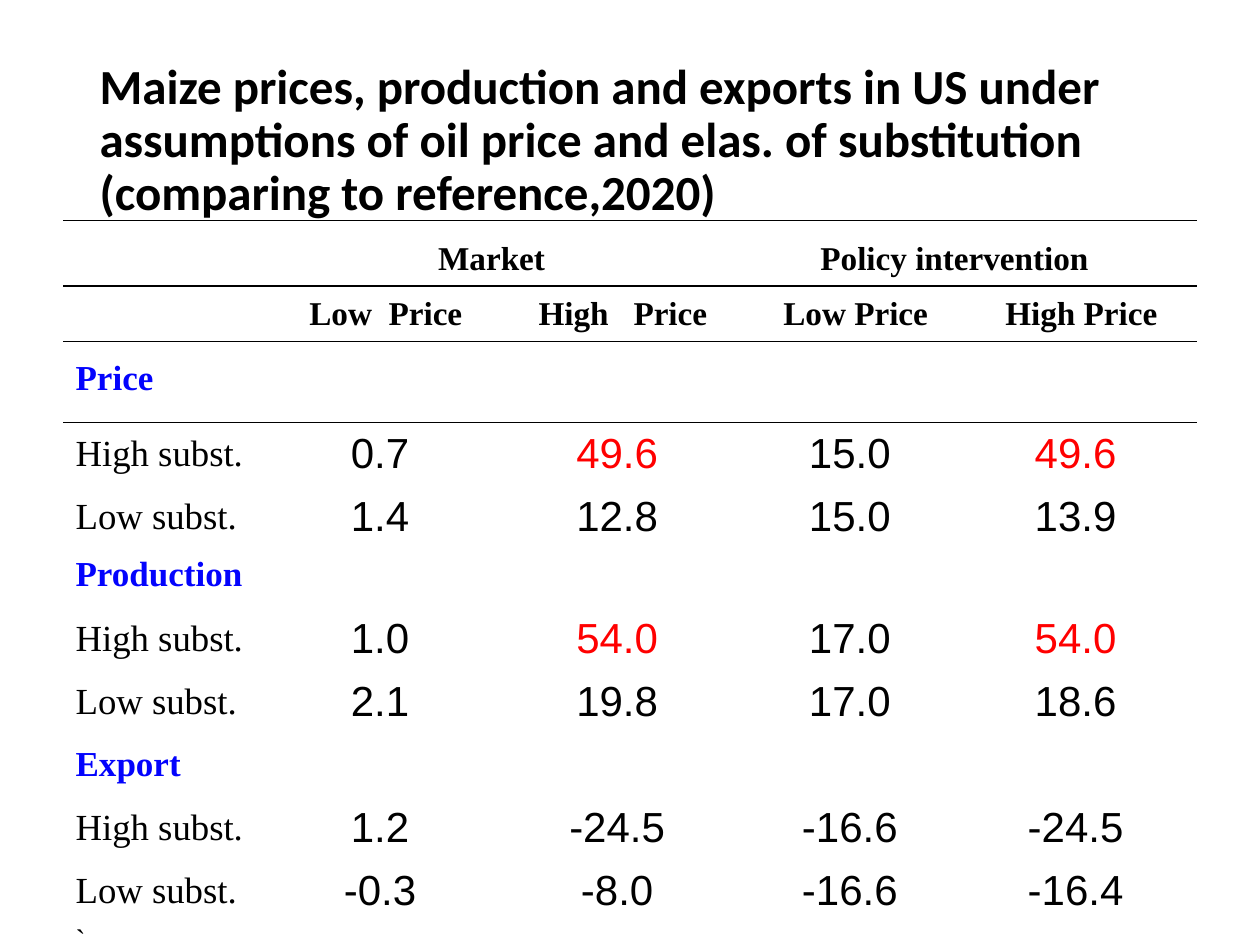
from pptx import Presentation
from pptx.dml.color import RGBColor
from pptx.enum.text import MSO_ANCHOR, PP_ALIGN
from pptx.oxml import parse_xml
from pptx.oxml.ns import nsdecls
from pptx.util import Inches, Pt

LEFT, CENTER = PP_ALIGN.LEFT, PP_ALIGN.CENTER
MIDDLE = MSO_ANCHOR.MIDDLE
COLORS = {"text": "000000", "group": "0303FD", "peak": "FF0000"}
SERIF, SANS, HEADING = "Times New Roman", "Arial", "Calibri"
NO_STYLE = "{2D5ABB26-0587-4C30-8999-92F81FD0307C}"

TITLE = ("Maize prices, production and exports in US under assumptions of oil price "
         "and elas. of substitution (comparing to reference,2020)")
MARKETS = ["Market　", "Policy intervention　"]
PRICES = ["Low  Price", "High   Price", "Low Price", "High Price"]
GROUPS = {
    "Price": [[0.7, 49.6, 15.0, 49.6], [1.4, 12.8, 15.0, 13.9]],
    "Production": [[1.0, 54.0, 17.0, 54.0], [2.1, 19.8, 17.0, 18.6]],
    "Export": [[1.2, -24.5, -16.6, -24.5], [-0.3, -8.0, -16.6, -16.4]],
}
SUBSTITUTION = ["High subst.", "Low subst."]
COL_WIDTHS = [1.65, 1.82, 1.94, 1.75, 1.83]
ROW_HEIGHTS = [0.45, 0.42, 0.52, 0.5, 0.5, 0.38] + [0.5] * 5 + [0.25]
EMPTY_SIZES = {1: 20, 2: 32, 5: 22}
RULES = {0: "TB", 1: "TB", 2: "T", 11: "B"}
PEAK_LEVEL = 40


def style_text(p, size, font, color="text", bold=False, align=LEFT, spacing=1.0):
    """Format one paragraph and its runs."""
    p.alignment, p.line_spacing = align, spacing
    for r in p.runs:
        r.font.size, r.font.name, r.font.bold = Pt(size), font, bold
        r.font.color.rgb = RGBColor.from_string(COLORS[color])


def fill_cell(cell, text, *args, **kwargs):
    """Write formatted text with a hanging indent into a cell."""
    p = cell.text_frame.paragraphs[0]
    p.text = text
    pPr = p._p.get_or_add_pPr()
    pPr.set("marL", str(Inches(0.38)))
    pPr.set("indent", str(-Inches(0.38)))
    style_text(p, *args, **kwargs)


def prepare_cell(cell, sides, empty_size):
    """Clear the fill, draw the rules and size the empty line of a cell."""
    tcPr = cell._tc.get_or_add_tcPr()
    for side in sides:
        tcPr.append(parse_xml(
            f'<a:ln{side} {nsdecls("a")} w="{Pt(1)}"><a:solidFill>'
            f'<a:srgbClr val="{COLORS["text"]}"/></a:solidFill></a:ln{side}>'))
    cell.fill.background()
    cell.vertical_anchor = MIDDLE
    end = cell.text_frame.paragraphs[0]._p.get_or_add_endParaRPr()
    end.set("sz", str(empty_size * 100))


def add_title(s, left, top, width, height):
    """Place the slide title."""
    sp = s.shapes.title
    sp.left, sp.top, sp.width, sp.height = left, top, width, height
    tf = sp.text_frame
    tf.text = TITLE
    tf.vertical_anchor = MIDDLE
    style_text(tf.paragraphs[0], 28, HEADING, bold=True, spacing=0.9)


def add_results(s, left, top, width, height):
    """Build the table of price, production and export changes."""
    table = s.shapes.add_table(len(ROW_HEIGHTS), len(COL_WIDTHS),
                               left, top, width, height).table
    table.first_row = table.horz_banding = False
    table._tbl.tblPr[0].text = NO_STYLE
    for col, share in zip(table.columns, COL_WIDTHS):
        col.width = int(width * share / sum(COL_WIDTHS))
    for i, (row, share) in enumerate(zip(table.rows, ROW_HEIGHTS)):
        row.height = int(height * share / sum(ROW_HEIGHTS))
        for cell in row.cells:
            prepare_cell(cell, RULES.get(i, ""), EMPTY_SIZES.get(i, 18))

    for i, market in enumerate(MARKETS):
        first = 1 + 2 * i
        table.cell(0, first).merge(table.cell(0, first + 1))
        fill_cell(table.cell(0, first), market, 19, SERIF, bold=True,
                  align=CENTER, spacing=1.1)
    for c, price in enumerate(PRICES, 1):
        fill_cell(table.cell(1, c), price, 19, SERIF, bold=True, align=CENTER)

    for g, (group, rows) in enumerate(GROUPS.items()):
        head = 2 + 3 * g
        fill_cell(table.cell(head, 0), group, 20, SERIF, "group", True,
                  spacing=1.0 if group == "Export" else 0.7)
        for r, (label, values) in enumerate(zip(SUBSTITUTION, rows), head + 1):
            fill_cell(table.cell(r, 0), label, 21, SERIF)
            for c, value in enumerate(values, 1):
                color = "peak" if value > PEAK_LEVEL else "text"
                fill_cell(table.cell(r, c), f"{value:.1f} ", 24, SANS, color,
                          align=CENTER)
    fill_cell(table.cell(len(ROW_HEIGHTS) - 1, 0), "`", 17, SERIF, spacing=0.3)


def main():
    """Build and save the slide."""
    prs = Presentation()
    prs.slide_width, prs.slide_height = Inches(10), Inches(7.5)
    s = prs.slides.add_slide(prs.slide_layouts[5])
    add_title(s, Inches(0.69), Inches(0.4), Inches(8.62), Inches(1.45))
    add_results(s, Inches(0.5), Inches(1.75), Inches(9), Inches(5.51))
    prs.save("out.pptx")


if __name__ == "__main__":
    main()
